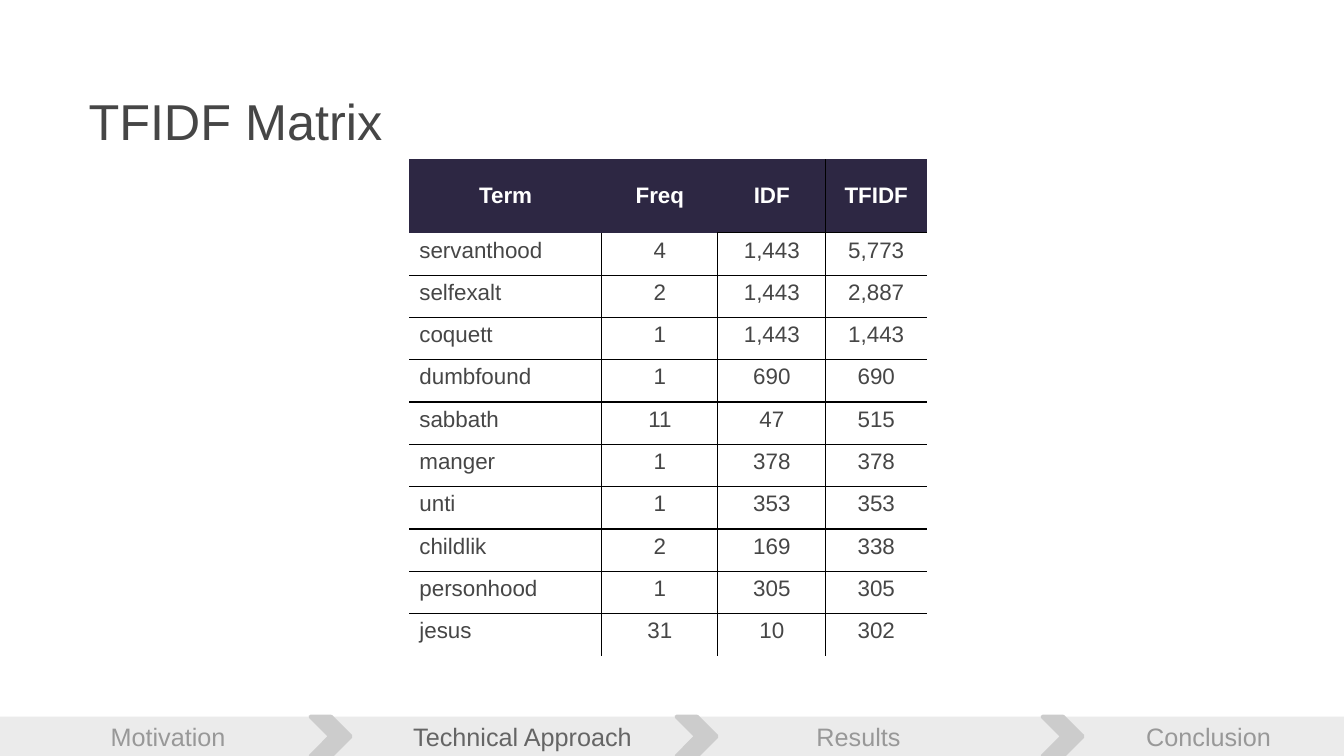
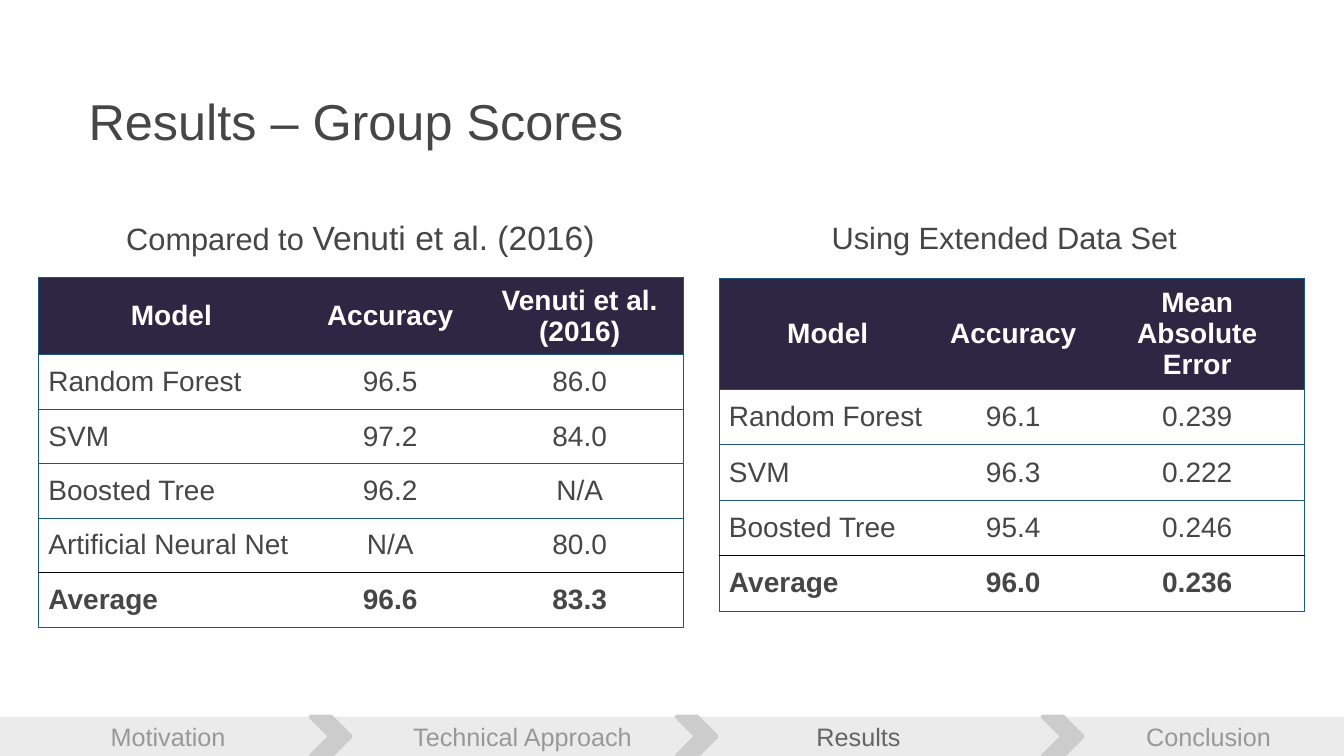
from lxml import etree
from pptx import Presentation
from pptx.dml.color import RGBColor
from pptx.enum.shapes import MSO_SHAPE
from pptx.enum.text import MSO_ANCHOR, PP_ALIGN
from pptx.oxml.ns import qn
from pptx.util import Inches, Pt

CENTER, LEFT = PP_ALIGN.CENTER, PP_ALIGN.LEFT
TOP, MIDDLE = MSO_ANCHOR.TOP, MSO_ANCHOR.MIDDLE
RECTANGLE, CHEVRON = MSO_SHAPE.RECTANGLE, MSO_SHAPE.CHEVRON

COLORS = {
    "text": "464646",
    "header": "2D2743",
    "white": "FFFFFF",
    "black": "000000",
    "blue": "1B587C",
    "band": "EBEBEB",
    "chevron": "CCCCCC",
    "inactive": "989898",
    "active": "656565",
}
FONT = "Arial"
BLACK_LINE = ("black", 1)
BLUE_LINE = ("blue", 0.5)
SECTIONS = {"Motivation": 1.0, "Technical Approach": 4.0,
            "Results": 8.0, "Conclusion": 11.27}

TERMS = [
    ("Term", "Freq", "IDF", "TFIDF"),
    ("servanthood", "4", "1,443", "5,773"),
    ("selfexalt", "2", "1,443", "2,887"),
    ("coquett", "1", "1,443", "1,443"),
    ("dumbfound", "1", "690", "690"),
    ("sabbath", "11", "47", "515"),
    ("manger", "1", "378", "378"),
    ("unti", "1", "353", "353"),
    ("childlik", "2", "169", "338"),
    ("personhood", "1", "305", "305"),
    ("jesus", "31", "10", "302"),
]
COMPARED_SCORES = [
    ("Model", "Accuracy", "Venuti et al. (2016)"),
    ("Random Forest", "96.5", "86.0"),
    ("SVM", "97.2", "84.0"),
    ("Boosted Tree", "96.2", "N/A"),
    ("Artificial Neural Net", "N/A", "80.0"),
    ("Average", "96.6", "83.3"),
]
EXTENDED_SCORES = [
    ("Model", "Accuracy", "Mean Absolute Error"),
    ("Random Forest", "96.1", "0.239"),
    ("SVM", "96.3", "0.222"),
    ("Boosted Tree", "95.4", "0.246"),
    ("Average", "96.0", "0.236"),
]


def rgb(name):
    return RGBColor.from_string(COLORS[name])


def add_span(para, text, size, color="text", bold=False):
    span = para.add_run()
    span.text = text
    formats = {"name": FONT, "size": Pt(size), "bold": bold}
    for attribute, value in formats.items():
        setattr(span.font, attribute, value)
    span.font.color.rgb = rgb(color)


def add_text(shapes, box, spans, align=LEFT, anchor=TOP):
    """Add a one-paragraph text box; spans are argument tuples for add_span."""
    text_box = shapes.add_textbox(*map(Inches, box))
    frame = text_box.text_frame
    frame.word_wrap = True
    frame.vertical_anchor = anchor
    para = frame.paragraphs[0]
    para.alignment = align
    for span in spans:
        add_span(para, *span)
    return para


def add_title(page, text):
    para = add_text(page.shapes, (0.78, 0.89, 11.7, 0.69), [(text, 36)],
                    anchor=MIDDLE)
    para.line_spacing = 0.89


def add_filled_shape(shapes, kind, box, color):
    shape = shapes.add_shape(kind, *map(Inches, box))
    shape.shadow.inherit = False
    shape.fill.solid()
    shape.fill.fore_color.rgb = rgb(color)
    shape.line.fill.background()
    return shape


def add_tab_stops(para, positions):
    tab_list = etree.SubElement(para._p.get_or_add_pPr(), qn("a:tabLst"))
    for position in positions:
        etree.SubElement(tab_list, qn("a:tab"),
                         pos=str(Inches(position)), algn="l")


def add_progress_bar(page, active, top=7.11, height=0.39):
    shapes = page.shapes.add_group_shape().shapes
    add_filled_shape(shapes, RECTANGLE, (0, top, 13.33, height), "band")
    for index in range(3):
        box = (3.08 + 3.63 * index, top, 0.4, height)
        chevron = add_filled_shape(shapes, CHEVRON, box, "chevron")
        chevron.line.color.rgb = rgb("chevron")
        chevron.line.width = Pt(2.75)
    spans = [("\t" + name, 18, "active" if name == active else "inactive")
             for name in SECTIONS]
    para = add_text(shapes, (0, top, 13.33, 0.4), spans)
    add_tab_stops(para, SECTIONS.values())


def set_borders(cell, lines):
    """Set left, right, top and bottom lines, each (color, points) or None."""
    properties = cell._tc.get_or_add_tcPr()
    for index, (side, line) in enumerate(zip("LRTB", lines)):
        border = etree.Element(qn("a:ln" + side))
        if line:
            color, points = line
            border.set("w", str(Pt(points)))
            fill = etree.SubElement(border, qn("a:solidFill"))
            etree.SubElement(fill, qn("a:srgbClr"), val=COLORS[color])
        else:
            etree.SubElement(border, qn("a:noFill"))
        properties.insert(index, border)


def fill_cell(cell, text, size, header, bold, align, anchor):
    cell.vertical_anchor = anchor
    if header:
        cell.fill.solid()
        cell.fill.fore_color.rgb = rgb("header")
    else:
        cell.fill.background()
    para = cell.text_frame.paragraphs[0]
    para.alignment = align
    add_span(para, text, size, "white" if header else "text", bold)


def add_grid(page, left, top, widths, heights, rows, size, across, down,
             header_down, body_anchor=MIDDLE, first_align=LEFT):
    """Add a table; across and down hold the lines between rows and columns."""
    frame = page.shapes.add_table(
        len(rows), len(widths), Inches(left), Inches(top),
        Inches(sum(widths)), Inches(sum(heights)))
    table = frame.table
    table.first_row = table.horz_banding = False
    for column, width in zip(table.columns, widths):
        column.width = Inches(width)
    for r, (values, height) in enumerate(zip(rows, heights)):
        table.rows[r].height = Inches(height)
        header = r == 0
        sides = header_down if header else down
        for c, value in enumerate(values):
            cell = table.cell(r, c)
            fill_cell(cell, value, size, header,
                      header or values[0] == "Average",
                      CENTER if header or c else first_align,
                      MIDDLE if header else body_anchor)
            set_borders(cell, (sides[c], sides[c + 1],
                               across[r], across[r + 1]))
    return table


def add_term_columns(page, left, columns, widths, header_line, down,
                     header_down):
    """Add one block of neighbouring columns of the term matrix."""
    rows = [values[columns] for values in TERMS]
    body_count = len(rows) - 1
    across = [None, header_line] + [BLACK_LINE] * (body_count - 1) + [None]
    first_align = LEFT if columns.start == 0 else CENTER
    table = add_grid(page, left, 1.58, widths, [0.73] + [0.42] * body_count,
                     rows, 16, across, down, header_down, TOP, first_align)
    margins = {"margin_left": 0.05, "margin_right": 0.05,
               "margin_top": 0, "margin_bottom": 0}
    for cell in table.rows[0].cells:
        for attribute, value in margins.items():
            setattr(cell, attribute, Inches(value))


def add_score_table(page, left, top, widths, header_height, row_height, rows):
    body_count = len(rows) - 1
    across = [BLUE_LINE] * body_count + [BLACK_LINE, BLUE_LINE]
    down = [BLUE_LINE, None, None, BLUE_LINE]
    heights = [header_height] + [row_height] * body_count
    add_grid(page, left, top, widths, heights, rows, 20, across, down, down)


def add_page(deck, title, section):
    page = deck.slides.add_slide(deck.slide_layouts[6])
    add_title(page, title)
    add_progress_bar(page, section)
    return page


def build_matrix_page(deck):
    page = add_page(deck, "TFIDF Matrix", "Technical Approach")
    add_term_columns(page, 4.06, slice(0, 2), (1.91, 1.15), None,
                     (None, BLACK_LINE, BLACK_LINE), (None, None, None))
    add_term_columns(page, 7.12, slice(2, 3), (1.07,), BLACK_LINE,
                     (BLACK_LINE, BLACK_LINE), (None, BLACK_LINE))
    add_term_columns(page, 8.19, slice(3, 4), (1.0,), BLACK_LINE,
                     (BLACK_LINE, None), (BLACK_LINE, None))


def build_scores_page(deck):
    page = add_page(deck, "Results – Group Scores", "Results")
    add_score_table(page, 0.38, 2.75, (2.64, 1.7, 2.06), 0.77, 0.54,
                    COMPARED_SCORES)
    add_score_table(page, 7.13, 2.76, (2.16, 1.52, 2.13), 0.76, 0.55,
                    EXTENDED_SCORES)
    add_text(page.shapes, (0.73, 2.1, 5.69, 0.5),
             [("Compared to ", 22), ("Venuti et al. (2016)", 24)], CENTER)
    add_text(page.shapes, (8.15, 2.12, 3.76, 0.47),
             [("Using Extended Data Set", 22)])


def main():
    deck = Presentation()
    deck.slide_width = Inches(13.33)
    deck.slide_height = Inches(7.5)
    build_matrix_page(deck)
    build_scores_page(deck)
    deck.save("out.pptx")


if __name__ == "__main__":
    main()
